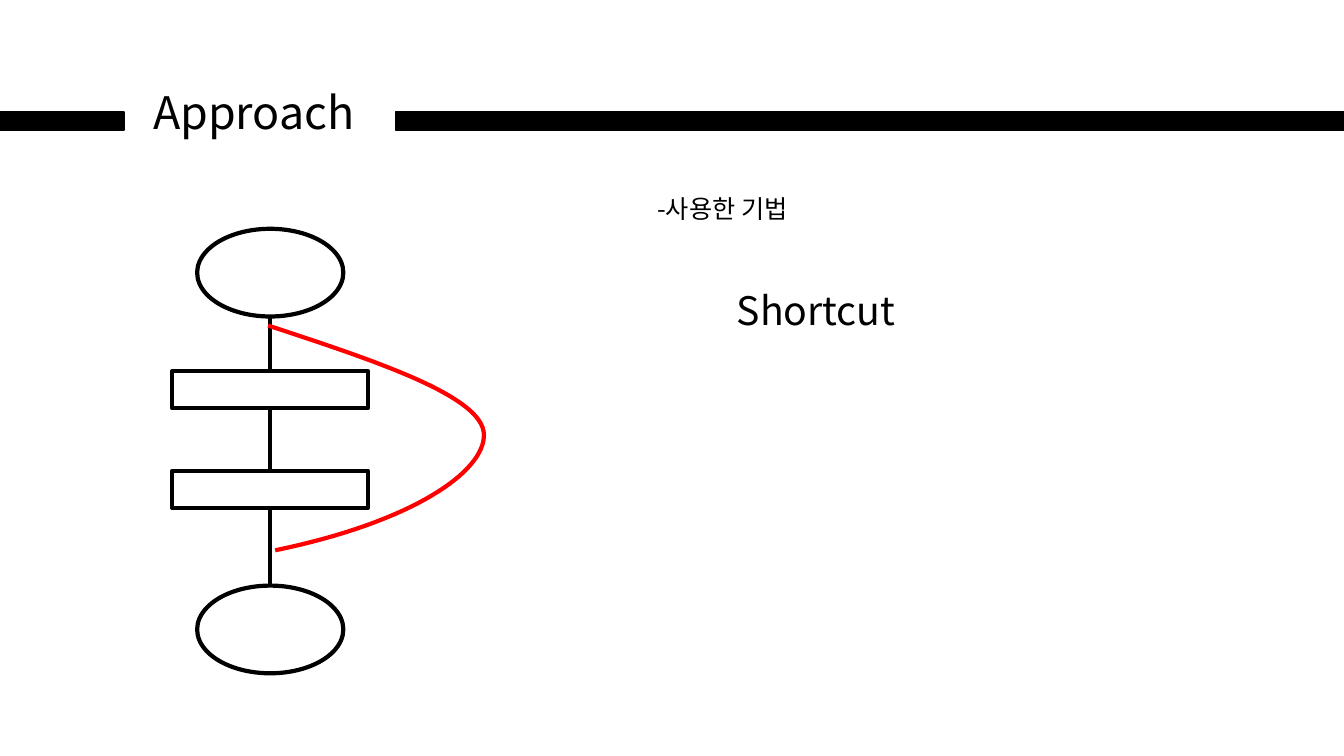
from lxml.etree import SubElement
from pptx import Presentation
from pptx.dml.color import RGBColor
from pptx.enum.shapes import MSO_CONNECTOR, MSO_SHAPE as SHAPE
from pptx.enum.text import MSO_AUTO_SIZE
from pptx.oxml.ns import qn
from pptx.util import Inches, Pt

FONT = "Noto Sans CJK KR"
BLACK, RED = "000000", "FF0000"
CENTER_X = 2.68
CURVE_STEPS = 32


def rgb(value):
    return RGBColor.from_string(value)


def set_line(sp, color, width):
    sp.line.color.rgb = rgb(color)
    sp.line.width = Pt(width)


def add_box(slide, kind, x, y, w, h, fill=None, width=3):
    sp = slide.shapes.add_shape(kind, *map(Inches, (x, y, w, h)))
    sp.shadow.inherit = False
    if fill:
        sp.fill.solid()
        sp.fill.fore_color.rgb = rgb(fill)
    else:
        sp.fill.background()
    set_line(sp, BLACK, width)


def add_node(slide, kind, y, w, h):
    """Add an outlined shape centred on the flow axis."""
    add_box(slide, kind, CENTER_X - w / 2, y, w, h)


def add_link(slide, top, bottom):
    x = Inches(CENTER_X)
    cxn = slide.shapes.add_connector(
        MSO_CONNECTOR.STRAIGHT, x, Inches(top), x, Inches(bottom))
    set_line(cxn, BLACK, 3)
    SubElement(cxn._element.spPr, qn("a:effectLst"))


def add_text(slide, text, x, y, w, h, size):
    sp = slide.shapes.add_textbox(*map(Inches, (x, y, w, h)))
    tf = sp.text_frame
    tf.word_wrap = True
    tf.auto_size = MSO_AUTO_SIZE.SHAPE_TO_FIT_TEXT
    r = tf.paragraphs[0].add_run()
    r.text = text
    for name, value in {"name": FONT, "size": Pt(size)}.items():
        setattr(r.font, name, value)
    r.font.color.rgb = rgb(BLACK)
    SubElement(r._r.get_or_add_rPr(), qn("a:ea"), typeface=FONT)


def bezier(points, t):
    """Return the point at t on a cubic curve with four control points."""
    weights = ((1 - t) ** 3, 3 * t * (1 - t) ** 2, 3 * t ** 2 * (1 - t), t ** 3)
    return tuple(Inches(sum(k * p[axis] for k, p in zip(weights, points)))
                 for axis in (0, 1))


def add_curve(slide, segments, color):
    points = [bezier(segment, i / CURVE_STEPS)
              for segment in segments for i in range(1, CURVE_STEPS + 1)]
    start = bezier(segments[0], 0)
    builder = slide.shapes.build_freeform(*start, scale=1.0)
    builder.add_line_segments(points, close=False)
    sp = builder.convert_to_shape()
    sp.shadow.inherit = False
    sp.fill.background()
    set_line(sp, color, 3)


def main():
    prs = Presentation()
    prs.slide_width, prs.slide_height = Inches(13.33), Inches(7.5)
    slide = prs.slides.add_slide(prs.slide_layouts[6])

    for x, w in ((-1.23, 2.46), (3.92, 10.03)):
        add_box(slide, SHAPE.RECTANGLE, x, 1.11, w, 0.18, BLACK, 1)
    add_text(slide, "Approach", 1.42, 0.79, 2.3, 0.64, 32)
    add_text(slide, "Shortcut", 7.21, 2.79, 4.1, 0.57, 28)

    ellipse, layer = (1.45, 0.87), (1.94, 0.37)
    nodes = ((SHAPE.OVAL, 2.27, *ellipse), (SHAPE.RECTANGLE, 3.68, *layer),
             (SHAPE.RECTANGLE, 4.67, *layer), (SHAPE.OVAL, 5.81, *ellipse))
    for node in nodes:
        add_node(slide, *node)
    for (_, y, _, h), (_, next_y, _, _) in zip(nodes, nodes[1:]):
        add_link(slide, y + h, next_y)

    shortcut = (((2.66, 3.23), (3.72, 3.58), (4.79, 3.93), (4.8, 4.31)),
                ((4.8, 4.31), (4.81, 4.68), (4.09, 5.18), (2.73, 5.46)))
    add_curve(slide, shortcut, RED)
    add_text(slide, "-사용한 기법", 6.42, 1.87, 3.61, 0.4, 18)

    prs.save("out.pptx")


if __name__ == "__main__":
    main()
